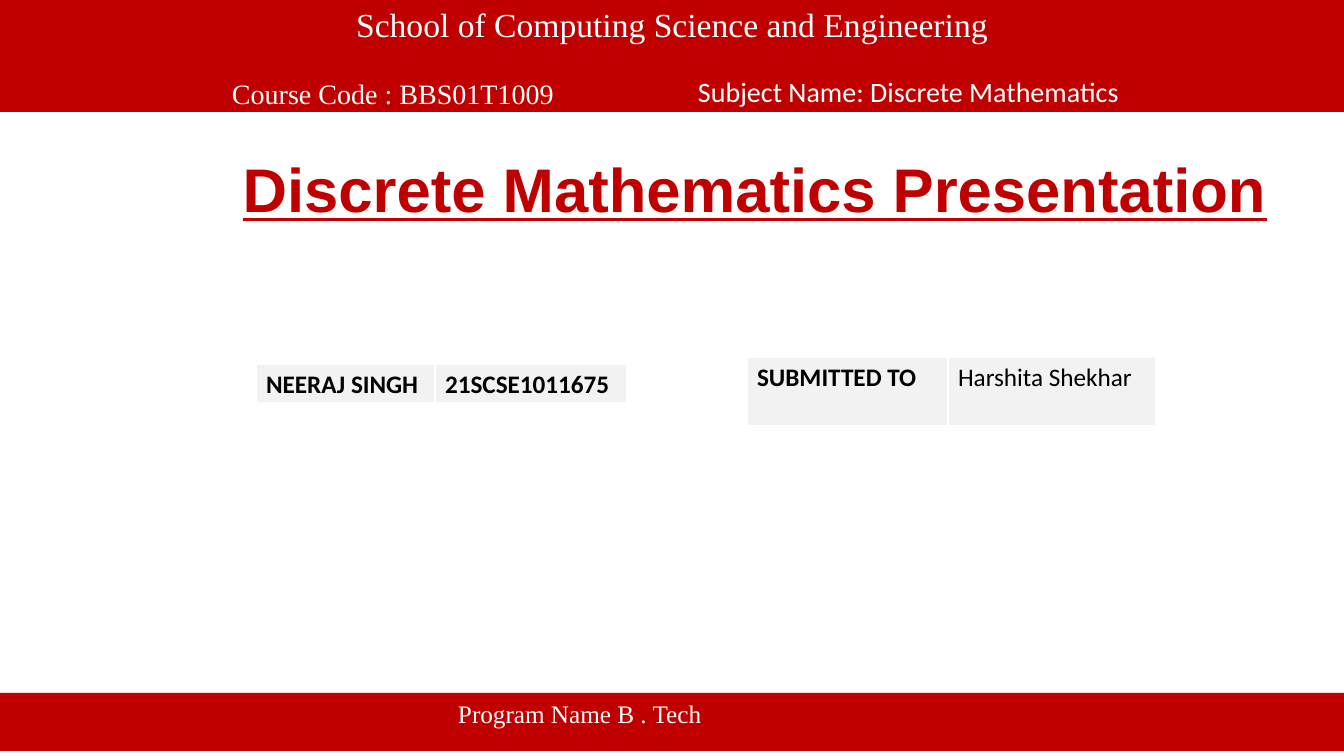
from lxml.etree import SubElement
from pptx import Presentation
from pptx.dml.color import RGBColor
from pptx.enum.shapes import MSO_SHAPE
from pptx.enum.text import MSO_ANCHOR, PP_ALIGN
from pptx.oxml.ns import qn
from pptx.util import Pt

PX = 914400 / 100.8
RED = RGBColor(0xC0, 0x00, 0x00)
WHITE = RGBColor(0xFF, 0xFF, 0xFF)
GREY = RGBColor(0xF2, 0xF2, 0xF2)
BLACK = RGBColor(0x00, 0x00, 0x00)
SERIF, SANS, HEADING = "Times New Roman", "Calibri", "Arial"
BORDERS = {"a:lnL": 1, "a:lnR": 1, "a:lnT": 1, "a:lnB": 3}
WIDTH, HEIGHT = 1344, 756


def px(n):
    return round(n * PX)


class Deck:
    def __init__(self):
        self.prs = Presentation()
        self.prs.slide_width, self.prs.slide_height = px(WIDTH), px(HEIGHT)
        self.slide = self.prs.slides.add_slide(self.prs.slide_layouts[6])

    def set_text(self, tf, text, size, font, color, bold=False, underline=False,
                 align=PP_ALIGN.LEFT):
        tf.text = text
        p = tf.paragraphs[0]
        p.alignment = align
        f = p.runs[0].font
        f.size, f.name, f.bold, f.underline = Pt(size), font, bold, underline
        f.color.rgb = color

    def frame(self, sp, left, top):
        """Return the shape's top-anchored text frame with the given insets."""
        tf = sp.text_frame
        tf.word_wrap = True
        tf.vertical_anchor = MSO_ANCHOR.TOP
        tf.margin_left, tf.margin_top = px(left), px(top)
        tf.margin_right = tf.margin_bottom = 0
        return tf

    def bar(self, y, h, text, size, left=0, top=5, align=PP_ALIGN.LEFT):
        sp = self.slide.shapes.add_shape(
            MSO_SHAPE.RECTANGLE, 0, px(y), px(WIDTH), px(h))
        sp.shadow.inherit = False
        sp.fill.solid()
        sp.fill.fore_color.rgb = RED
        sp.line.fill.background()
        self.set_text(self.frame(sp, left, top), text, size, SERIF, WHITE, align=align)

    def text(self, x, y, w, h, text, size, font, color, top=0, **style):
        sp = self.slide.shapes.add_textbox(px(x), px(y), px(w), px(h))
        self.set_text(self.frame(sp, 0, top), text, size, font, color, **style)

    def table(self, x, y, h, columns):
        """Draw one row; columns holds (width, text, bold) for each cell."""
        total = sum(w for w, _, _ in columns)
        table = self.slide.shapes.add_table(
            1, len(columns), px(x), px(y), px(total), px(h)).table
        for i, (w, text, bold) in enumerate(columns):
            table.columns[i].width = px(w)
            cell = table.cell(0, i)
            self.set_text(cell.text_frame, text, 18, SANS, BLACK, bold)
            self.border(cell)
            cell.fill.solid()
            cell.fill.fore_color.rgb = GREY

    def border(self, cell):
        tc_pr = cell._tc.get_or_add_tcPr()
        for tag, width in BORDERS.items():
            ln = SubElement(tc_pr, qn(tag), w=str(Pt(width)))
            fill = SubElement(ln, qn("a:solidFill"))
            SubElement(fill, qn("a:srgbClr"), val=str(WHITE))


def main():
    deck = Deck()
    deck.bar(0, 112, "School of Computing Science and Engineering", 24,
             top=4, align=PP_ALIGN.CENTER)
    deck.text(232, 77, 400, 33, "Course Code : BBS01T1009", 20, SERIF, WHITE)
    deck.text(698, 75, 500, 35, "Subject Name: Discrete Mathematics", 20, SANS, WHITE)
    deck.bar(693, 58, "Program Name B . Tech", 18, left=458)
    deck.text(166, 140, 1178, 85, "Discrete Mathematics Presentation", 44, HEADING,
              RED, top=11, bold=True, underline=True, align=PP_ALIGN.CENTER)
    deck.table(256, 364, 39, [(179, "NEERAJ SINGH", True),
                              (192, "21SCSE1011675", True)])
    deck.table(747, 357, 70, [(201, "SUBMITTED TO", True),
                              (208, "Harshita Shekhar", False)])
    deck.prs.save("out.pptx")


if __name__ == "__main__":
    main()
